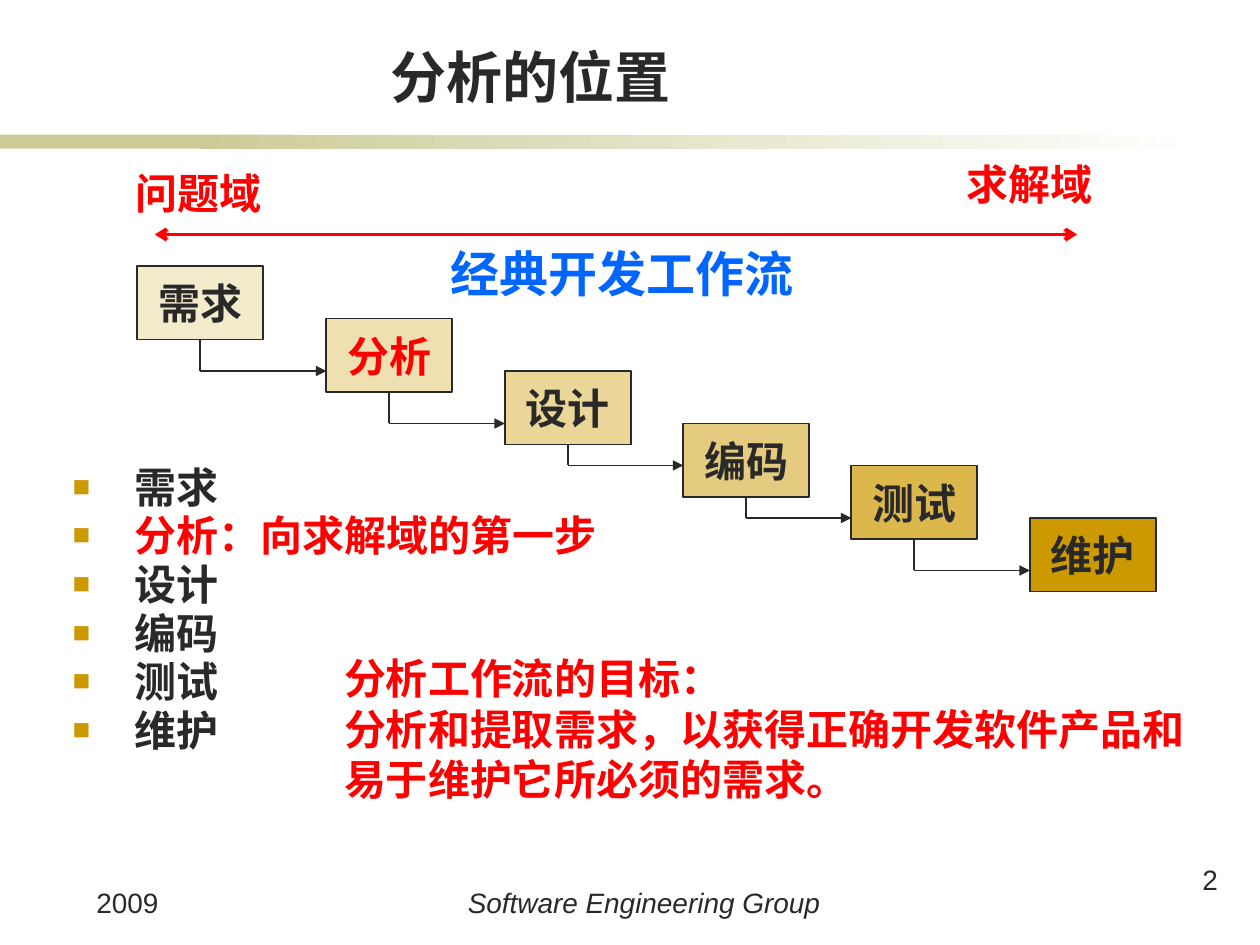
from lxml import etree
from pptx import Presentation
from pptx.dml.color import RGBColor
from pptx.enum import shapes, text
from pptx.oxml import ns
from pptx.util import Pt

INK = RGBColor(0x29, 0x29, 0x29)
RED = RGBColor(0xFF, 0x00, 0x00)
BLUE = RGBColor(0x00, 0x66, 0xFF)
GOLD = RGBColor(0xCC, 0x99, 0x00)
OLIVE = RGBColor(0xCC, 0xCC, 0x99)
WHITE = RGBColor(0xFF, 0xFF, 0xFF)
CJK = "Noto Sans CJK SC"
LATIN = "Arial"
LEFT, CENTER, RIGHT = text.PP_ALIGN.LEFT, text.PP_ALIGN.CENTER, text.PP_ALIGN.RIGHT
STAGES = ["需求", "分析", "设计", "编码", "测试", "维护"]


def add_child(parent, tag, **attributes):
    """Append a DrawingML element to parent and return it."""
    return etree.SubElement(parent, ns.qn(tag), attributes)


def add_run(paragraph, words, size, color, font=CJK, bold=True, italic=False):
    """Add one formatted run to a paragraph."""
    run = paragraph.add_run()
    run.text = words
    run.font.size = Pt(size)
    run.font.name = font
    run.font.bold = bold
    run.font.italic = italic
    run.font.color.rgb = color
    add_child(run.font._element, "a:ea", typeface=CJK)


def add_text(slide, box, lines, size, color, align=LEFT, wrap=True,
             anchor=text.MSO_ANCHOR.TOP, **style):
    """Place a text box with one paragraph per line."""
    frame = slide.shapes.add_textbox(*map(Pt, box)).text_frame
    frame.word_wrap = wrap
    frame.vertical_anchor = anchor
    for index, line in enumerate(lines):
        paragraph = frame.add_paragraph() if index else frame.paragraphs[0]
        paragraph.alignment = align
        add_run(paragraph, line, size, color, **style)
    return frame


def add_line(slide, start, end, color=INK, width=1, head=None, tail=None):
    """Draw a straight connector with optional arrowheads."""
    line = slide.shapes.add_connector(
        shapes.MSO_CONNECTOR.STRAIGHT, *map(Pt, (*start, *end)))
    line.line.color.rgb = color
    line.line.width = Pt(width)
    outline = line.line._get_or_add_ln()
    for tag, kind in (("a:headEnd", head), ("a:tailEnd", tail)):
        if kind:
            add_child(outline, tag, type=kind)
    add_child(line._element.spPr, "a:effectLst")
    return line


def add_rectangle(slide, box):
    """Add a rectangle without shadow."""
    shape = slide.shapes.add_shape(shapes.MSO_SHAPE.RECTANGLE, *map(Pt, box))
    shape.shadow.inherit = False
    return shape


def add_header(slide, left, top, width):
    """Place the title above its fading rule."""
    solid = add_rectangle(slide, (left, top + 77, 168, 8))
    solid.fill.solid()
    solid.fill.fore_color.rgb = OLIVE
    fade = add_rectangle(slide, (left + 114, top + 77, width - 150, 8))
    fade.fill.gradient()
    fade.fill.gradient_angle = 0
    for stop, color, position in zip(fade.fill.gradient_stops, (OLIVE, WHITE), (0, 1)):
        stop.color.rgb = color
        stop.position = position
    for shape in (solid, fade):
        shape.line.fill.background()
    add_text(slide, (left + 82, top + 21, 442, 45), ["分析的位置"], 32, INK, CENTER,
             anchor=text.MSO_ANCHOR.BOTTOM, font=LATIN)


def add_domain_axis(slide, left, top, width):
    """Place the double arrow from problem domain to solution domain."""
    add_line(slide, (left, top), (left + width, top), RED, 2.25, "arrow", "arrow")
    add_text(slide, (left - 18, top - 42, 88, 36), ["问题域"], 24, RED, wrap=False)
    add_text(slide, (left + width - 70.5, top - 47, 88, 36), ["求解域"], 24, RED, wrap=False)
    add_text(slide, (left + 162, top + 1.5, 213, 41), ["经典开发工作流"], 28, BLUE, wrap=False)


def add_stage(slide, box, name, opacity):
    """Place one workflow stage box."""
    shape = add_rectangle(slide, box)
    shape.fill.solid()
    shape.fill.fore_color.rgb = GOLD
    color = shape._element.spPr.find(".//" + ns.qn("a:srgbClr"))
    add_child(color, "a:alpha", val=str(opacity * 1000))
    shape.line.color.rgb = INK
    shape.line.width = Pt(1)
    frame = shape.text_frame
    frame.word_wrap = False
    frame.vertical_anchor = text.MSO_ANCHOR.MIDDLE
    frame.paragraphs[0].alignment = CENTER
    add_run(frame.paragraphs[0], name, 24, RED if name == "分析" else INK)
    return shape


def add_waterfall(slide, left, top):
    """Place the descending stages and the elbows between them."""
    width, height = 72, 42
    lefts = [left + offset for offset in (0, 108, 210, 312, 408, 510)]
    tops = [top + offset for offset in (0, 30, 60, 90, 114, 144, 174)]
    opacities = (20, 30, 40, 50, 70, 100)
    stages = [add_stage(slide, (x, y, width, height), name, opacity)
              for x, y, name, opacity in zip(lefts, tops, STAGES, opacities)]
    for stage, x, y, next_x, elbow in zip(stages, lefts, tops, lefts[1:], tops[2:]):
        middle = x + width / 2
        drop = add_line(slide, (middle, y + height), (middle, elbow))
        drop.begin_connect(stage, 2)
        add_line(slide, (middle, elbow), (next_x, elbow), tail="triangle")


def add_stage_list(slide, box):
    """Place the bulleted list of stages."""
    lines = [name + "：向求解域的第一步" if name == "分析" else name for name in STAGES]
    frame = add_text(slide, box, lines, 24, INK)
    frame.paragraphs[1].runs[0].font.color.rgb = RED
    for paragraph in frame.paragraphs:
        paragraph.line_spacing = 0.8
        paragraph.space_before = Pt(4.8)
        properties = paragraph._p.get_or_add_pPr()
        properties.set("marL", str(Pt(35.5)))
        properties.set("indent", str(-Pt(35.5)))
        bullet_color = add_child(properties, "a:buClr")
        add_child(bullet_color, "a:srgbClr", val=str(GOLD))
        add_child(properties, "a:buSzPct", val="70000")
        add_child(properties, "a:buFont", typeface=LATIN)
        add_child(properties, "a:buChar", char="■")


def add_goal(slide, box):
    """Place the goal of the analysis workflow."""
    add_text(slide, box, ["分析工作流的目标：",
                          "分析和提取需求，以获得正确开发软件产品和易于维护它所必须的需求。"], 24, RED)


def add_footer(slide, left, top):
    """Place the year, group name and slide number."""
    style = dict(font=LATIN, bold=False)
    add_text(slide, (left, top, 102, 28), ["2009"], 16, INK, **style)
    add_text(slide, (left + 113, top, 414, 28), ["Software Engineering Group"], 16, INK,
             CENTER, italic=True, **style)
    add_text(slide, (left + 582, top - 13, 73, 36), ["2"], 16, INK, RIGHT, **style)


def main():
    """Build the slide and save it."""
    presentation = Presentation()
    presentation.slide_width, presentation.slide_height = Pt(720), Pt(540)
    slide = presentation.slides.add_slide(presentation.slide_layouts[6])
    add_header(slide, 0, 0, 720)
    add_stage_list(slide, (34.5, 265.5, 318, 216))
    add_waterfall(slide, 78.5, 152)
    add_footer(slide, 48, 502.5)
    add_domain_axis(slide, 88.5, 134, 527)
    add_goal(slide, (189.5, 369.5, 505.5, 94))
    presentation.save("out.pptx")


if __name__ == "__main__":
    main()
